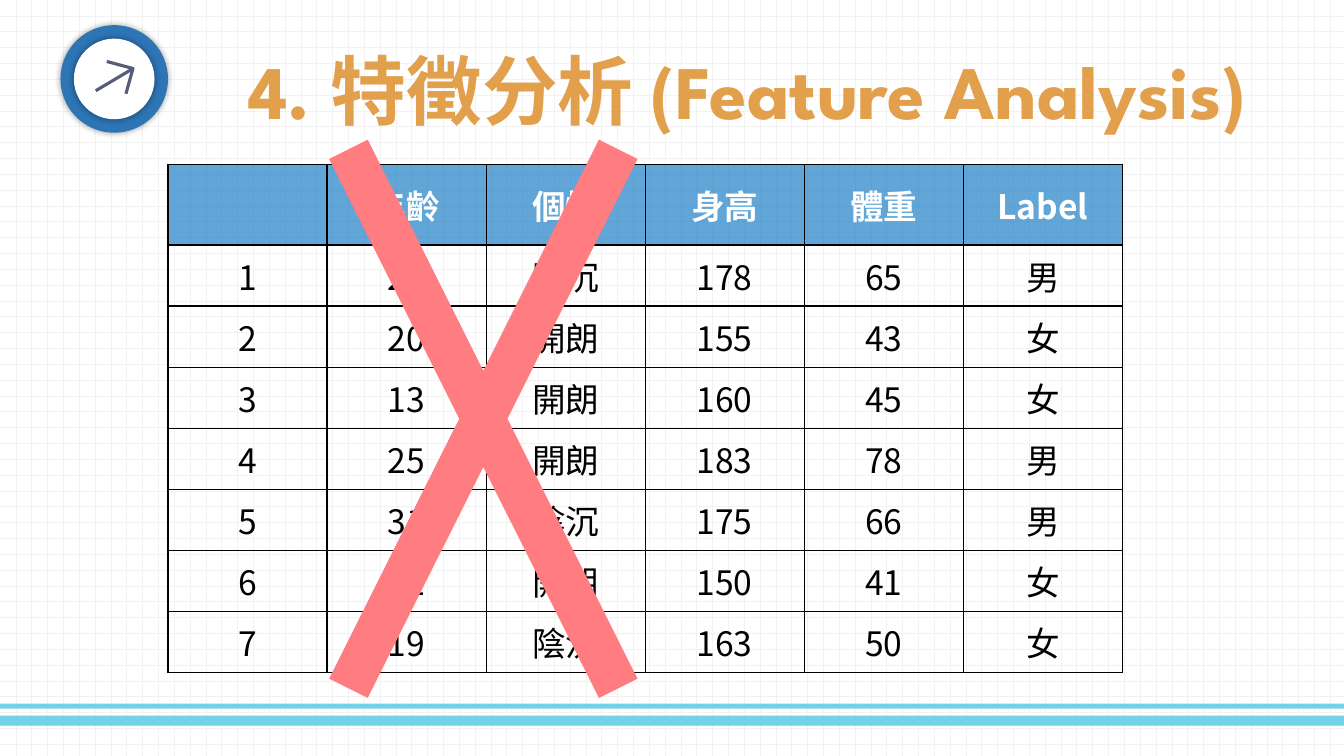
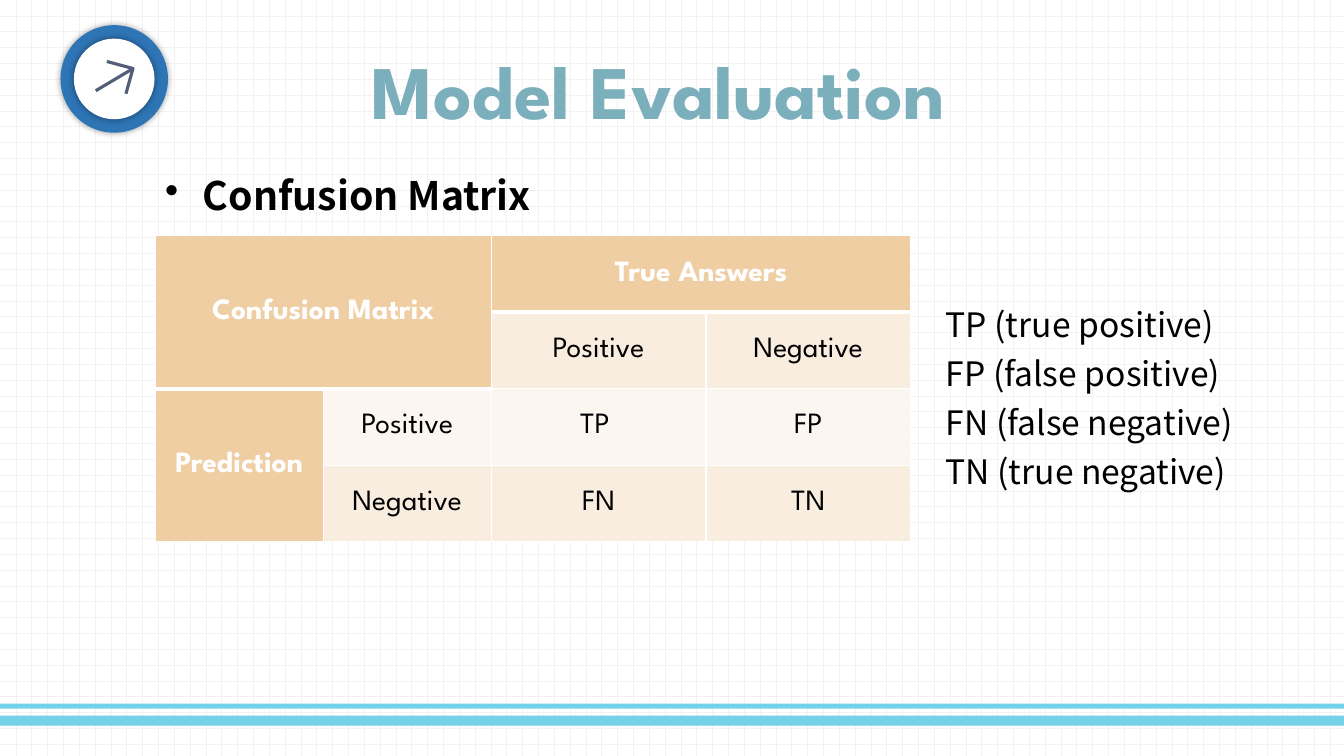
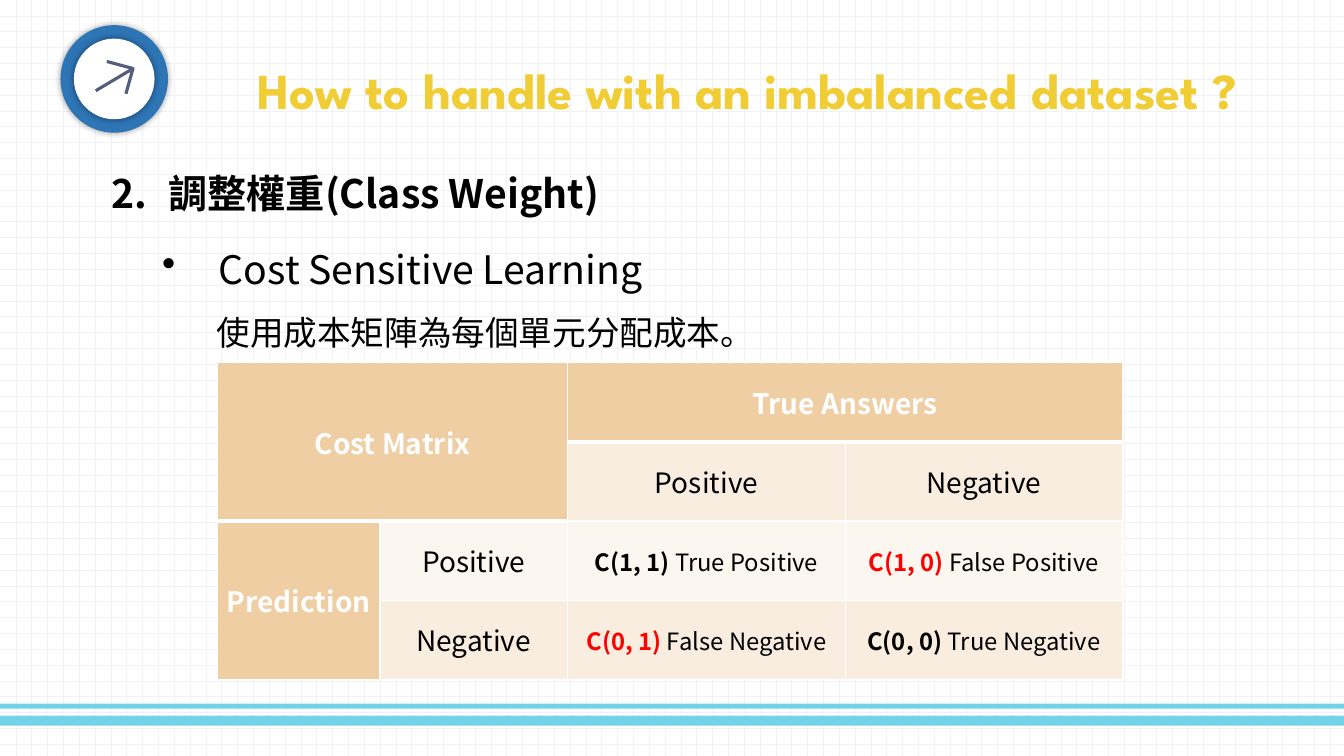
from pptx import Presentation
from pptx.dml.color import RGBColor
from pptx.enum.dml import MSO_PATTERN
from pptx.enum.shapes import MSO_CONNECTOR, MSO_SHAPE
from pptx.enum.text import MSO_ANCHOR, PP_ALIGN
from pptx.oxml import parse_xml
from pptx.oxml.ns import nsdecls, qn
from pptx.util import Inches, Pt

COLUMNS, ROWS = 80, 45
UNIT = Inches(1 / 6)
TITLE_FONT = "League Spartan"
BODY_FONT = "Noto Sans CJK SC"
BLACK, WHITE, RED = "000000", "FFFFFF", "FF0000"
SKY, NAVY, SLATE, CORAL = "73D2E8", "2E75B6", "545D79", "FF7C80"
HEADER_BLUE = "0070C0"
SAND, PEACH, CREAM = "F0CEA3", "F9EDE0", "FCF6F0"

FEATURES = [
    ["", "年齡", "個性", "身高", "體重", "Label"],
    ["1", "21", "陰沉", "178", "65", "男"],
    ["2", "20", "開朗", "155", "43", "女"],
    ["3", "13", "開朗", "160", "45", "女"],
    ["4", "25", "開朗", "183", "78", "男"],
    ["5", "31", "陰沉", "175", "66", "男"],
    ["6", "22", "開朗", "150", "41", "女"],
    ["7", "19", "陰沉", "163", "50", "女"],
]


def grid(*cells):
    return [round(cell * UNIT) for cell in cells]


def color(value):
    return RGBColor.from_string(value)


def xml(markup):
    return parse_xml(markup.replace(">", f" {nsdecls('a')}>", 1))


def add_span(para, text, size, font=BODY_FONT, ink=BLACK, bold=False):
    span = para.add_run()
    span.text = text
    span.font.size = Pt(size)
    span.font.name = font
    span.font.bold = bold
    span.font.color.rgb = color(ink)
    span.font._element.find(qn("a:latin")).addnext(
        xml(f'<a:ea typeface="{BODY_FONT}"></a:ea>'))


def add_text(page, place, lines, size, align=PP_ALIGN.LEFT, anchor=MSO_ANCHOR.TOP,
             gap=0, bullet=None, indent=0, **style):
    box = page.shapes.add_textbox(*grid(*place))
    frame = box.text_frame
    frame.word_wrap = True
    frame.vertical_anchor = anchor
    for index, line in enumerate(lines):
        para = frame.paragraphs[0] if index == 0 else frame.add_paragraph()
        para.alignment = align
        if index and gap:
            para.space_before = Pt(gap)
        if bullet:
            properties = para._p.get_or_add_pPr()
            properties.set("marL", str(grid(indent)[0]))
            properties.set("indent", str(-grid(indent)[0]))
            properties.append(xml(bullet))
        add_span(para, line, size, **style)


def add_solid(shapes, kind, place, fill):
    shape = shapes.add_shape(kind, *grid(*place))
    shape.shadow.inherit = False
    shape.fill.solid()
    shape.fill.fore_color.rgb = color(fill)
    shape.line.fill.background()
    return shape


def set_stroke(shape):
    shape.line.color.rgb = color(SLATE)
    shape.line.width = Pt(2.25)


def add_badge(page):
    badge = page.shapes.add_group_shape().shapes
    for corner, top, size, fill in [(3.6, 1.5, 6.4, NAVY), (4.4, 2.3, 4.8, WHITE)]:
        disc = add_solid(badge, MSO_SHAPE.OVAL, (corner, top, size, size), fill)
        disc._element.spPr.find(qn("a:effectLst")).append(xml(
            f'<a:outerShdw blurRad="{Pt(5)}" dist="0" algn="ctr" rotWithShape="0">'
            f'<a:srgbClr val="{BLACK}"><a:alpha val="40000"/></a:srgbClr></a:outerShdw>'))
    tip = grid(7.92, 4.08)
    builder = badge.build_freeform(*grid(6.36, 3.66))
    builder.add_line_segments([tip, grid(7.5, 5.58)], close=False)
    arrowhead = builder.convert_to_shape()
    arrowhead.shadow.inherit = False
    arrowhead.fill.background()
    set_stroke(arrowhead)
    shaft = badge.add_connector(MSO_CONNECTOR.STRAIGHT, *grid(5.7, 5.4), *tip)
    shaft._element.spPr.append(xml("<a:effectLst></a:effectLst>"))
    set_stroke(shaft)


def add_page(deck, title, ink, size=54, left=10):
    page = deck.slides.add_slide(deck.slide_layouts[6])
    for top, height in [(42.6, 0.6), (41.88, 0.3)]:
        add_solid(page.shapes, MSO_SHAPE.RECTANGLE, (0, top, COLUMNS, height), SKY)
    add_text(page, (left, 3.2, 69, 4.26), [title], size, PP_ALIGN.CENTER,
             MSO_ANCHOR.MIDDLE, font=TITLE_FONT, ink=ink, bold=True)
    add_badge(page)
    return page


def add_table(page, left, top, widths, heights):
    place = grid(left, top, sum(widths), sum(heights))
    table = page.shapes.add_table(len(heights), len(widths), *place).table
    table.first_row = table.horz_banding = False
    for column, width in zip(table.columns, grid(*widths)):
        column.width = width
    for row, height in zip(table.rows, grid(*heights)):
        row.height = height
    return table


def style_cell(cell, fill, edge, top=1, bottom=1, alpha=100, side=0.1, end=0.05):
    cell.vertical_anchor = MSO_ANCHOR.MIDDLE
    cell.margin_left = cell.margin_right = Inches(side)
    cell.margin_top = cell.margin_bottom = Inches(end)
    if fill:
        cell.fill.solid()
        cell.fill.fore_color.rgb = color(fill)
    else:
        cell.fill.background()
    properties = cell._tc.get_or_add_tcPr()
    if alpha < 100:
        properties.find(qn("a:solidFill"))[0].append(
            xml(f'<a:alpha val="{alpha * 1000}"></a:alpha>'))
    for index, (name, width) in enumerate(zip("LRTB", (1, 1, top, bottom))):
        properties.insert(index, xml(
            f'<a:ln{name} w="{Pt(width)}"><a:solidFill><a:srgbClr val="{edge}"/>'
            f'</a:solidFill></a:ln{name}>'))


def add_feature_table(page):
    heights = [4.8] + [3.64] * (len(FEATURES) - 1)
    table = add_table(page, 10, 9.78, [9.47] * len(FEATURES[0]), heights)
    for row, values in enumerate(FEATURES):
        head = row == 0
        for column, value in enumerate(values):
            cell = table.cell(row, column)
            style_cell(cell, HEADER_BLUE if head else None, BLACK,
                       alpha=62 if head else 100)
            if value:
                para = cell.text_frame.paragraphs[0]
                para.alignment = PP_ALIGN.CENTER
                add_span(para, value, 24, ink=WHITE if head else BLACK, bold=head)


def add_matrix(page, left, top, widths, height, name, outcomes, size, font):
    table = add_table(page, left, top, widths, [height] * 4)
    for first, last in [((0, 0), (1, 1)), ((0, 2), (0, 3)), ((2, 0), (3, 0))]:
        table.cell(*first).merge(table.cell(*last))
    labels = {(0, 0): name, (0, 2): "True Answers", (2, 0): "Prediction",
              (1, 2): "Positive", (1, 3): "Negative",
              (2, 1): "Positive", (3, 1): "Negative"}
    for row in range(4):
        for column in range(4):
            cell = table.cell(row, column)
            head = row == 0 or column == 0 or (row, column) == (1, 1)
            heavy = 2 if column < 2 else 1
            style_cell(cell, SAND if head else CREAM if row == 2 else PEACH, WHITE,
                       top=3 if row == heavy else 1,
                       bottom=3 if row + cell.span_height == heavy else 1,
                       side=0.06, end=0)
            if cell.is_spanned:
                continue
            para = cell.text_frame.paragraphs[0]
            para.alignment = PP_ALIGN.CENTER
            if (row, column) in labels:
                add_span(para, labels[row, column], size, font,
                         WHITE if head else BLACK, head)
            else:
                for text, style in outcomes[row - 2][column - 2]:
                    add_span(para, text, **{"size": size, "font": font, **style})


def cost(code, meaning, ink=BLACK):
    return [(code + " ", {"size": 17, "ink": ink, "bold": True}),
            (meaning, {"size": 17})]


def build_feature_page(deck):
    page = add_page(deck, "4. 特徵分析 (Feature Analysis)", "E2A04C")
    add_feature_table(page)
    cross = add_solid(page.shapes, MSO_SHAPE.MATH_MULTIPLY,
                      (13.32, -5.94, 30.9, 61.74), CORAL)
    cross.adjustments[0] = 0.083


def build_evaluation_page(deck, dot):
    page = add_page(deck, "Model Evaluation", "7CAFBC", left=4.68)
    outcomes = [[[(text, {})] for text in pair] for pair in [("TP ", "FP"), ("FN", "TN")]]
    add_matrix(page, 9.24, 14.04, [10, 10, 12.78, 12.18], 4.55,
               "Confusion Matrix", outcomes, 21, TITLE_FONT)
    add_text(page, (9.24, 9.9, 38, 3.42), ["Confusion Matrix"], 28,
             bullet=dot, indent=2.25, bold=True)
    add_text(page, (55.7, 17.82, 23.2, 13.9),
             ["TP (true positive)", "FP (false positive)",
              "FN (false negative)", "TN (true negative)"], 24, gap=6)


def build_cost_page(deck, dot):
    page = add_page(deck, "How to handle with an imbalanced dataset ?", "F1CD35", 36)
    number = '<a:buAutoNum type="arabicPeriod" startAt="2"></a:buAutoNum>'
    add_text(page, (6.06, 9.78, 38, 3.42), ["調整權重(Class Weight)"], 28,
             bullet=number, indent=3.38, bold=True)
    add_text(page, (9.06, 14.28, 34.4, 3.42), ["Cost Sensitive Learning"], 28,
             bullet=dot, indent=3.38)
    add_text(page, (12.3, 18.3, 44.4, 3), ["使用成本矩陣為每個單元分配成本。"], 24)
    outcomes = [
        [cost("C(1, 1)", "True Positive"), cost("C(1, 0)", "False Positive", RED)],
        [cost("C(0, 1)", "False Negative", RED), cost("C(0, 0)", "True Negative")],
    ]
    add_matrix(page, 12.96, 21.6, [9.66, 11.16, 16.56, 16.46], 4.71,
               "Cost Matrix", outcomes, 20, BODY_FONT)


def main():
    deck = Presentation()
    deck.slide_width, deck.slide_height = grid(COLUMNS, ROWS)
    backdrop = deck.slide_master.background.fill
    backdrop.patterned()
    backdrop.pattern = MSO_PATTERN.DOTTED_GRID
    backdrop.fore_color.rgb = color("F2F2F2")
    backdrop.back_color.rgb = color(WHITE)
    dot = '<a:buChar char="•"></a:buChar>'
    build_feature_page(deck)
    build_evaluation_page(deck, dot)
    build_cost_page(deck, dot)
    deck.save("out.pptx")


if __name__ == "__main__":
    main()
